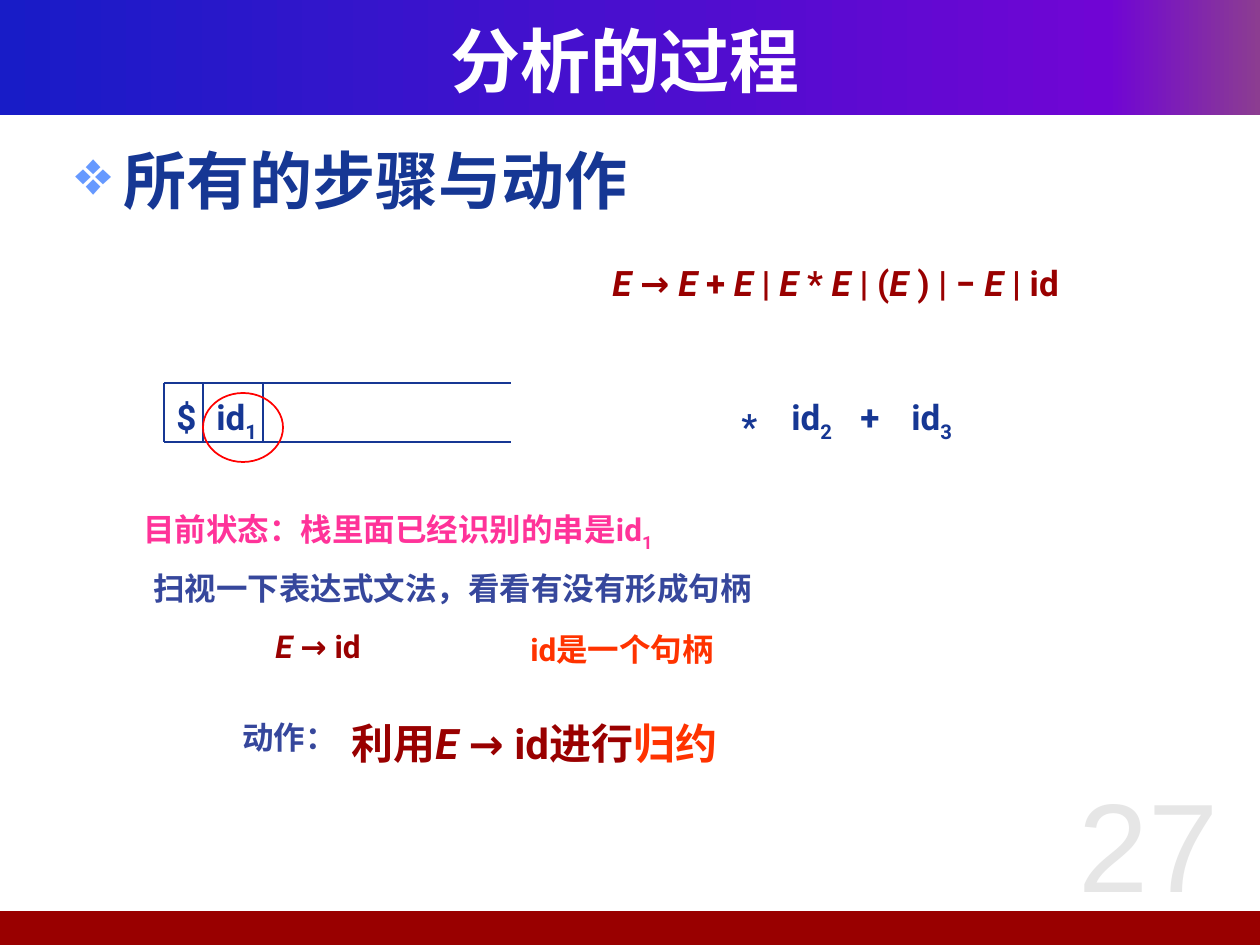
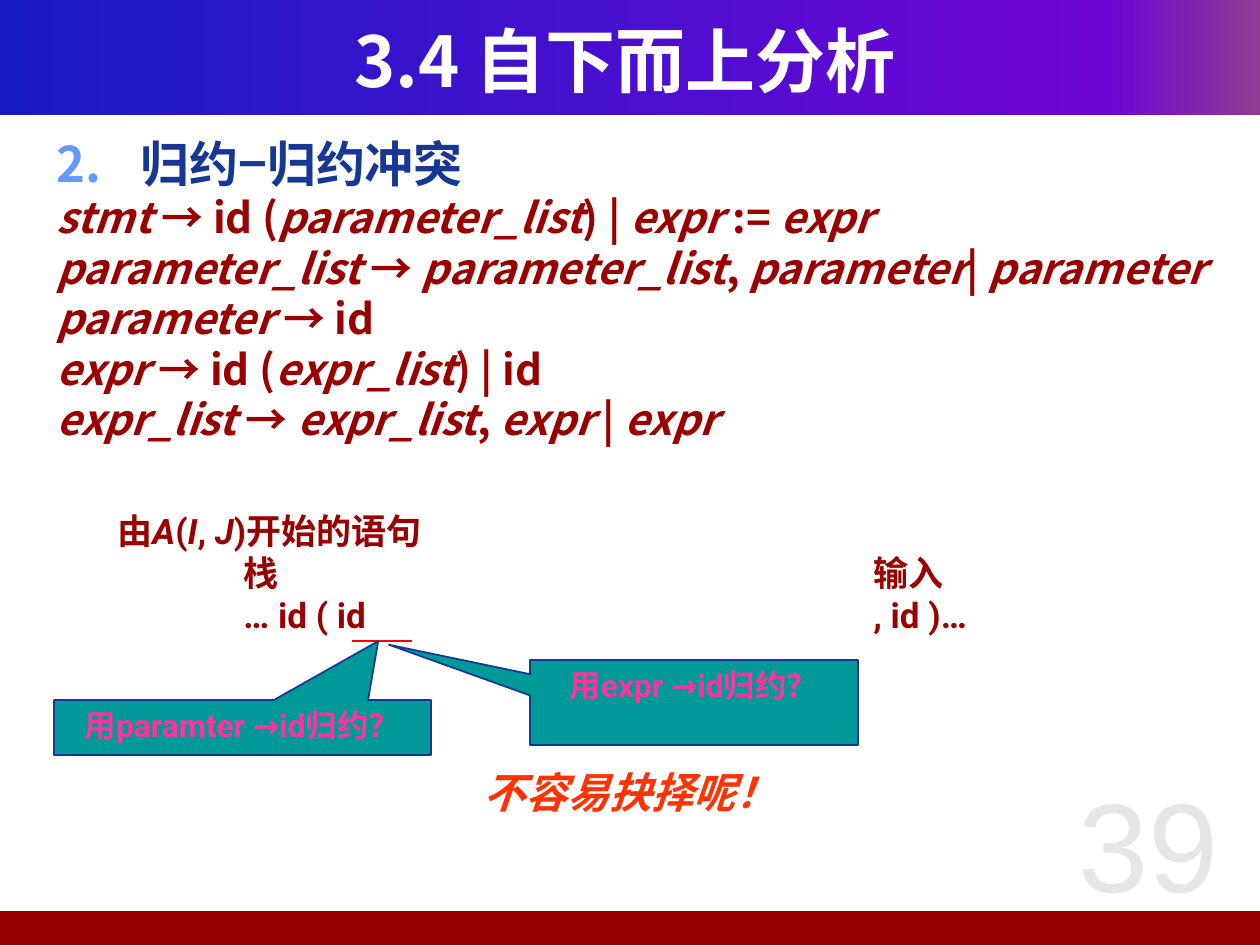
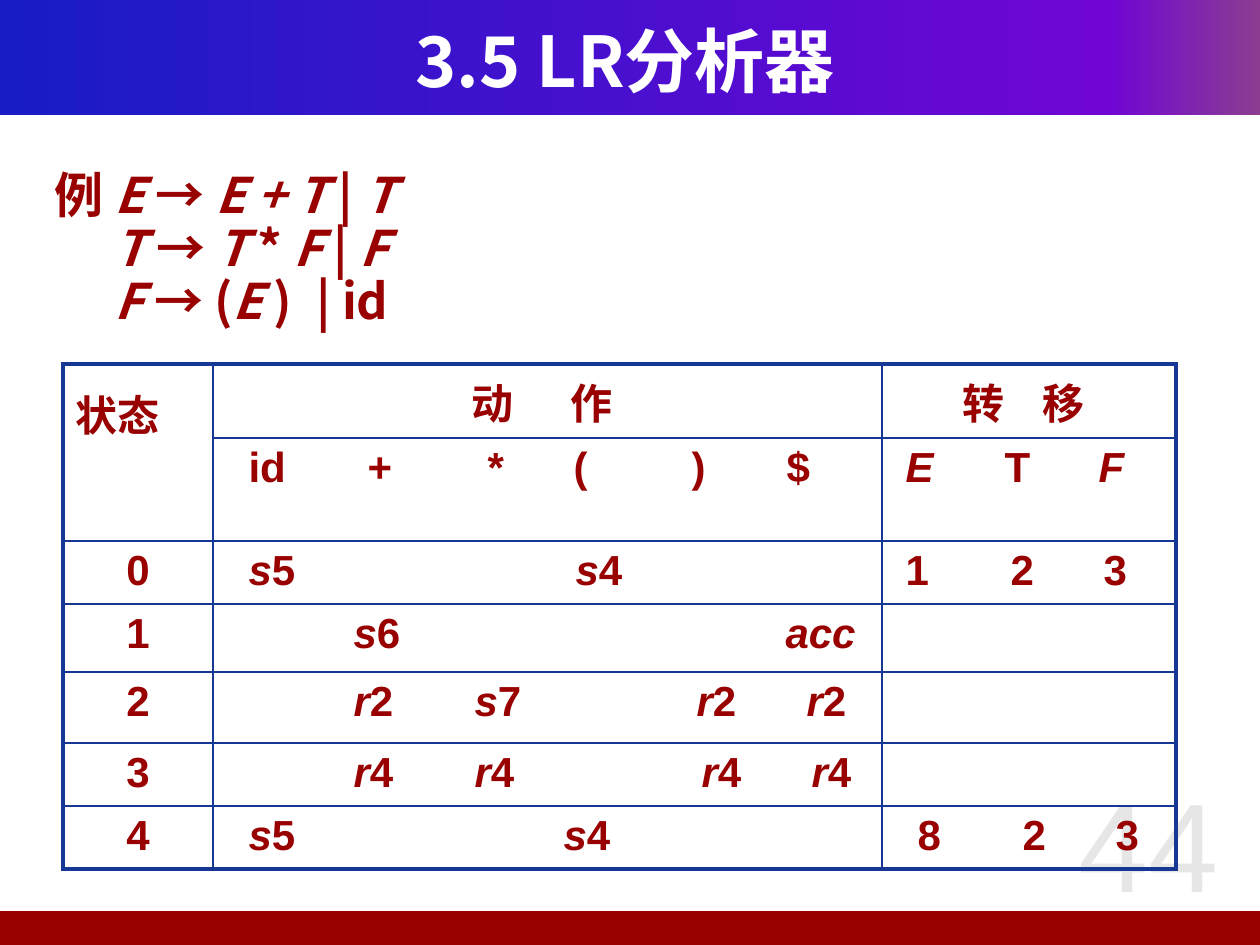
import pptx
import pptx.dml.color
import pptx.enum.shapes
import pptx.enum.text
import pptx.oxml.ns
import pptx.util
from lxml import etree

RGBColor = pptx.dml.color.RGBColor
Shapes = pptx.enum.shapes.MSO_SHAPE
Align = pptx.enum.text.PP_ALIGN
Anchor = pptx.enum.text.MSO_ANCHOR
qn = pptx.oxml.ns.qn

EMU_PER_PX = 914400 / 126
WIDTH, HEIGHT = 1260, 945
CJK, ROBOTO, ARIAL = "Noto Sans CJK SC", "Roboto", "Arial"
ITALIC_MARK, SUBSCRIPT_MARK = "~", "^"

WHITE = RGBColor(0xFF, 0xFF, 0xFF)
NAVY = RGBColor(0x16, 0x37, 0x94)
SLATE = RGBColor(0x36, 0x47, 0x9C)
MAROON = RGBColor(0x99, 0x00, 0x00)
PINK = RGBColor(0xFF, 0x33, 0x99)
ORANGE = RGBColor(0xFF, 0x33, 0x00)
RED = RGBColor(0xFF, 0x00, 0x00)
TEAL = RGBColor(0x00, 0x99, 0x99)
SKY = RGBColor(0x66, 0x99, 0xFF)
PALE_GREY = RGBColor(0xE6, 0xE6, 0xE6)
BAND_STOPS = (
    (0, RGBColor(0x18, 0x1C, 0xC7)),
    (88, RGBColor(0x70, 0x05, 0xD4)),
    (100, RGBColor(0x8C, 0x3D, 0x91)),
)


def px(length):
    return pptx.util.Emu(round(length * EMU_PER_PX))


def add_node(parent, tag, **attributes):
    return etree.SubElement(
        parent, qn(tag), {name: str(value) for name, value in attributes.items()})


def add_color(parent, color):
    add_node(parent, "a:srgbClr", val=color)


class Deck:
    base = {"size": 20, "name": ROBOTO, "bold": True, "italic": False, "color": NAVY}

    def __init__(self):
        self.presentation = pptx.Presentation()
        self.presentation.slide_width = px(WIDTH)
        self.presentation.slide_height = px(HEIGHT)
        self.slide = None

    def start_slide(self, title, number):
        self.slide = self.presentation.slides.add_slide(self.presentation.slide_layouts[6])
        band = self.shape(Shapes.RECTANGLE, (0, 0, WIDTH, 115))
        band.fill.gradient()
        band.fill.gradient_angle = 0
        stops = band._element.spPr.find(".//" + qn("a:gsLst"))
        for stop in list(stops):
            stops.remove(stop)
        for position, color in BAND_STOPS:
            add_color(add_node(stops, "a:gs", pos=position * 1000), color)
        self.shape(Shapes.RECTANGLE, (-5, 911, 1265, 34), fill=MAROON)
        self.text((1037, 760, 223, 179), [str(number)], align=Align.CENTER,
                  size=72, name=ARIAL, bold=False, color=PALE_GREY)
        heading = self.text((42, 21, 1166, 78), [title], align=Align.CENTER,
                            size=40, name=CJK, color=WHITE)
        heading.vertical_anchor = Anchor.MIDDLE

    def run(self, paragraph, text, subscript=False, **style):
        run = paragraph.add_run()
        run.text = text
        values = {**self.base, **style}
        color = values.pop("color")
        values["size"] = pptx.util.Pt(values["size"])
        for name, value in values.items():
            setattr(run.font, name, value)
        run.font.color.rgb = color
        properties = run._r.get_or_add_rPr()
        add_node(properties, "a:ea", typeface=values["name"])
        if subscript:
            properties.set("baseline", "-25000")

    def add_runs(self, paragraph, text, **style):
        for index, part in enumerate(text.split(ITALIC_MARK)):
            plain, _, subscript = part.partition(SUBSCRIPT_MARK)
            look = {**style, "italic": style.get("italic", False) or index % 2 == 1}
            if plain:
                self.run(paragraph, plain, **look)
            if subscript:
                self.run(paragraph, subscript, subscript=True, **look)

    def fill_frame(self, frame, lines, align=Align.LEFT, spacing=None,
                   tabs=(), indent=0, bullet=None, **style):
        for line in lines:
            paragraph = frame.paragraphs[0]
            if paragraph.runs:
                paragraph = frame.add_paragraph()
            properties = paragraph._p.get_or_add_pPr()
            if indent:
                properties.set("marL", str(px(indent)))
                properties.set("indent", str(-px(indent)))
            if bullet:
                add_color(add_node(properties, "a:buClr"), SKY)
                tag, attributes = bullet
                add_node(properties, tag, **attributes)
            if tabs:
                stops = add_node(properties, "a:tabLst")
                for position in tabs:
                    add_node(stops, "a:tab", pos=px(position), algn="l")
            paragraph.alignment = align
            if spacing:
                paragraph.line_spacing = spacing
            self.add_runs(paragraph, line, **style)

    def text(self, box, lines, **options):
        frame = self.slide.shapes.add_textbox(*map(px, box)).text_frame
        frame.word_wrap = True
        self.fill_frame(frame, lines, **options)
        return frame

    def shape(self, kind, box, fill=None, line=None):
        shape = self.slide.shapes.add_shape(kind, *map(px, box))
        shape.shadow.inherit = False
        for target, color in ((shape.fill, fill), (shape.line.fill, line)):
            if color is None:
                target.background()
            else:
                target.solid()
                target.fore_color.rgb = color
        if line is not None:
            shape.line.width = pptx.util.Pt(1)
        return shape

    def callout(self, box, tip, line):
        shape = self.shape(Shapes.RECTANGULAR_CALLOUT, box, fill=TEAL, line=NAVY)
        for index, value in enumerate(tip):
            shape.adjustments[index] = value
        shape.text_frame.word_wrap = True
        shape.text_frame.vertical_anchor = Anchor.TOP
        self.fill_frame(shape.text_frame, [line], align=Align.CENTER, size=18, color=PINK)

    def line(self, start, end, color=NAVY):
        connector = self.slide.shapes.add_connector(
            pptx.enum.shapes.MSO_CONNECTOR.STRAIGHT, *map(px, start + end))
        connector.line.color.rgb = color
        connector.line.width = pptx.util.Pt(1)
        add_node(connector._element.spPr, "a:effectLst")

    def table(self, left, top, widths, heights):
        table = self.slide.shapes.add_table(
            len(heights), len(widths), px(left), px(top),
            px(sum(widths)), px(sum(heights))).table
        table.first_row = table.horz_banding = False
        for items, attribute, sizes in ((table.columns, "width", widths),
                                        (table.rows, "height", heights)):
            for item, size in zip(items, sizes):
                setattr(item, attribute, px(size))
        last_row, last_column = len(heights) - 1, len(widths) - 1
        for row in range(len(heights)):
            for column in range(len(widths)):
                cell = table.cell(row, column)
                cell.fill.background()
                outer = {"a:lnL": column == 0, "a:lnR": column == last_column,
                         "a:lnT": row == 0, "a:lnB": row == last_row}
                self.borders(cell, outer)
        return table

    def borders(self, cell, outer):
        properties = cell._tc.get_or_add_tcPr()
        for index, (tag, is_outer) in enumerate(outer.items()):
            weight = pptx.util.Pt(2.25 if is_outer else 1)
            border = add_node(properties, tag, w=weight)
            add_color(add_node(border, "a:solidFill"), NAVY)
            properties.insert(index, border)

    def tabbed_cell(self, cell, entries, **style):
        line = "".join("\t" + text for _, text in entries)
        self.fill_frame(cell.text_frame, [line], tabs=[stop for stop, _ in entries], **style)


def build_parsing_steps(deck):
    deck.start_slide("分析的过程", 27)
    deck.text((63, 135, 1134, 723), ["所有的步骤与动作"], indent=48,
              bullet=("a:buChar", {"char": "❖"}), size=36, name=CJK)

    stack_top, stack_bottom, stack_left, stack_right = 383, 442, 164, 511
    for y in (stack_top, stack_bottom):
        deck.line((stack_left, y), (stack_right, y))
    for x in (stack_left, 203, 263):
        deck.line((x, stack_top), (x, stack_bottom))
    symbols = (("$", 164, 389), ("id^1", 204, 389), ("*", 729, 398),
               ("id^2", 779, 389), ("+", 848, 389), ("id^3", 899, 389))
    for symbol, left, top in symbols:
        deck.text((left, top, 74, 54), [symbol])

    deck.text((600, 255, 598, 54),
              ["~E ~→ ~E ~+~ E ~| ~E ~* ~E~ | (~E~ ) | − ~E~ | id"], color=MAROON)
    notes = (
        ((131, 504, 560, 50), "目前状态：栈里面已经识别的串是id^1", PINK),
        ((141, 563, 648, 50), "扫视一下表达式文法，看看有没有形成句柄", SLATE),
        ((263, 621, 123, 50), "~E ~→ id", MAROON),
        ((518, 624, 241, 50), "id是一个句柄", ORANGE),
        ((230, 712, 130, 50), "动作：", SLATE),
    )
    for box, line, color in notes:
        deck.text(box, [line], size=18, color=color)
    action = deck.text((339, 711, 430, 63), ["利用~E ~→ id进行"], size=24, color=MAROON)
    deck.add_runs(action.paragraphs[0], "归约", size=24, color=ORANGE)
    deck.shape(Shapes.OVAL, (203, 393, 80, 69), line=RED)


def build_reduce_conflict(deck):
    deck.start_slide("3.4 自下而上分析", 39)
    body = deck.text((44, 127, 1180, 693), ["归约−归约冲突"], indent=84,
                     bullet=("a:buAutoNum", {"type": "arabicPeriod", "startAt": 2}),
                     size=28, name=CJK)
    grammar = [
        "~stmt ~→ id (~parameter_list~) | ~expr~ := ~expr",
        "~parameter_list ~→ ~parameter_list~, ~parameter~| ~parameter",
        "~parameter ~→ id",
        "~expr ~→ id (~expr_list~) | id",
        "~expr_list ~→ ~expr_list~, ~expr ~| ~expr",
    ]
    deck.fill_frame(body, grammar, align=Align.JUSTIFY, indent=84,
                    size=24, name=CJK, color=MAROON)
    deck.line((352, 641), (412, 641), RED)
    deck.callout((54, 700, 377, 55), (0.36, -1.57), "用paramter →id归约？")
    deck.callout((530, 660, 328, 85), (-0.93, -0.68), "用expr →id归约？")
    deck.text((471, 760, 466, 63), ["不容易抉择呢！"], size=24, italic=True, color=ORANGE)
    deck.text((105, 503, 896, 139),
              ["由~A~(~I~, ~J~)开始的语句", "\t栈\t输入", "\t… id ( id\t, id )…"],
              tabs=(126, 756), color=MAROON)


def build_lr_table(deck):
    deck.start_slide("3.5 LR分析器", 44)
    productions = ["例 ~E ~→ ~E + T ~|~ T", "\t~T ~→ ~T ~*~ F ~| ~F", "\t~F ~→ (~E ~)\t| id"]
    deck.text((42, 165, 1176, 210), productions, align=Align.JUSTIFY, spacing=0.9,
              tabs=(60, 262), size=28, name=CJK, color=MAROON)

    table = deck.table(63, 364, (150, 669, 294), (74, 103, 63, 68, 71, 63, 63))
    style = {"size": 24, "name": ARIAL, "color": MAROON}
    table.cell(0, 0).merge(table.cell(1, 0))
    deck.fill_frame(table.cell(0, 0).text_frame, ["状态"], spacing=1.5, **style)
    heading_style = {**style, "name": CJK}
    deck.tabbed_cell(table.cell(0, 1), ((246, "动"), (345, "作")), **heading_style)
    deck.tabbed_cell(table.cell(0, 2), ((68, "转"), (148, "移")), **heading_style)

    actions = (
        ((23, "id"), (142, "+"), (262, "*"), (348, "("), (466, ")"), (561, "$")),
        ((23, "~s~5"), (350, "~s~4")),
        ((128, "~s~6"), (560, "~acc")),
        ((128, "~r~2"), (249, "~s~7"), (471, "~r~2"), (581, "~r~2")),
        ((128, "~r~4"), (249, "~r~4"), (476, "~r~4"), (586, "~r~4")),
        ((23, "~s~5"), (338, "~s~4")),
    )
    gotos = {
        1: ((11, "~E"), (110, "~T"), (204, "~F")),
        2: ((11, "1"), (116, "2"), (209, "3")),
        6: ((23, "8"), (128, "2"), (221, "3")),
    }
    for row, entries in enumerate(actions, start=1):
        deck.tabbed_cell(table.cell(row, 1), entries, **style)
    for row, entries in gotos.items():
        deck.tabbed_cell(table.cell(row, 2), entries, **style)
    for state in range(5):
        deck.fill_frame(table.cell(state + 2, 0).text_frame, [str(state)],
                        align=Align.CENTER, **style)


def main():
    deck = Deck()
    build_parsing_steps(deck)
    build_reduce_conflict(deck)
    build_lr_table(deck)
    deck.presentation.save("out.pptx")


if __name__ == "__main__":
    main()
